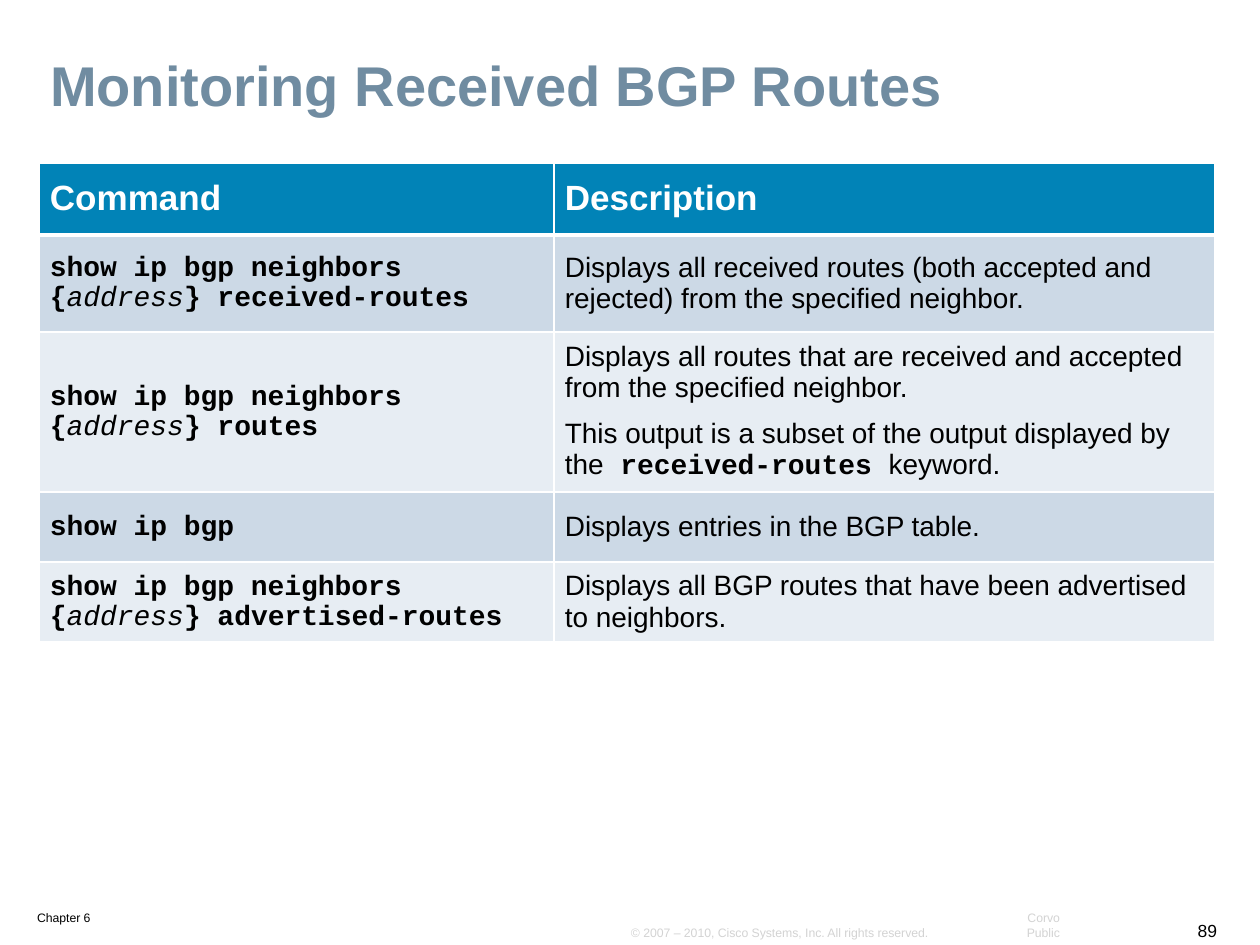
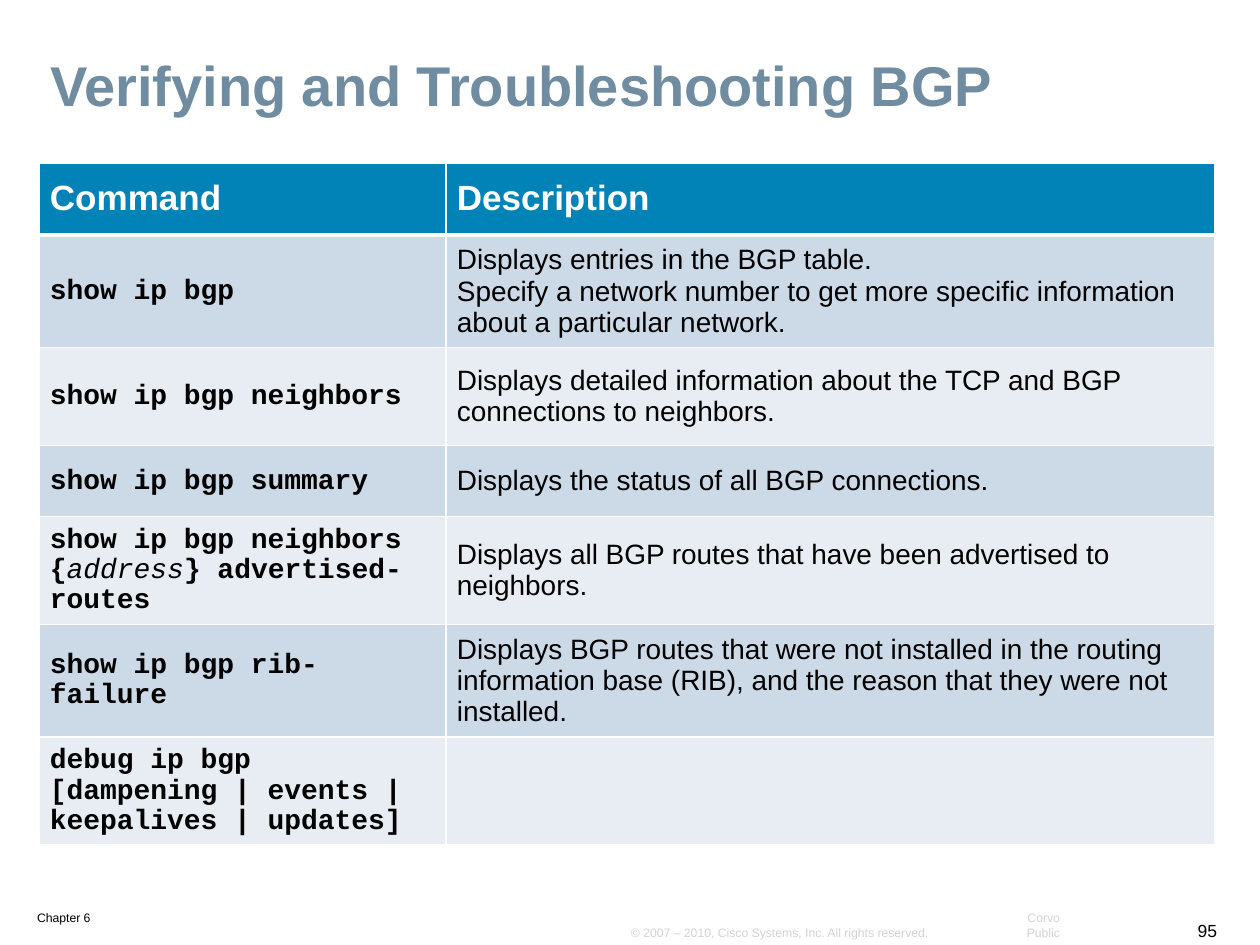
from lxml.etree import SubElement
from pptx import Presentation
from pptx.dml.color import RGBColor
from pptx.enum.text import MSO_ANCHOR, MSO_AUTO_SIZE, PP_ALIGN
from pptx.oxml.ns import qn
from pptx.util import Emu, Pt

COLORS = {"title": "708CA1", "header": "0183B7", "odd": "CCD9E6", "even": "E7EDF3",
          "white": "FFFFFF", "black": "000000", "gray": "D3D3D3"}
SANS, MONO = "Arial", "Courier New"
TITLE = {"size": Pt(32), "name": SANS, "bold": True, "color": "title"}
HEADER = {"size": Pt(20), "name": SANS, "bold": True, "color": "white"}
PLAIN = {"size": Pt(16), "name": SANS, "bold": False, "color": "black"}
COMMAND = {**PLAIN, "name": MONO, "bold": True}
ARGUMENT = {**COMMAND, "bold": False, "italic": True}
INSETS = {"margin_left": 11, "margin_top": 6, "margin_right": 11, "margin_bottom": 6}
TITLE_BOX = (39, 50, 1174, 76)
TABLE_TOP_LEFT = (39, 163)

FOOTERS = [
    ((26, 905, 132, 26), "Chapter 6", 7, "black", PP_ALIGN.LEFT),
    ((620, 920, 324, 26), "© 2007 – 2010, Cisco Systems, Inc. All rights reserved.",
     7, "gray", PP_ALIGN.LEFT),
    ((982, 920, 89, 26), "Corvo Public", 7, "gray", PP_ALIGN.RIGHT),
]
NUMBER_BOX = (1184, 914, 44, 33)

ADVERTISED = ("show ip bgp neighbors {_address_} advertised-routes",
              "Displays all BGP routes that have been advertised to neighbors.")
TABLE_ENTRIES = ("show ip bgp", "Displays entries in the BGP table.")

SLIDES = [
    {"title": "Monitoring Received BGP Routes", "number": "89",
     "cols": (515, 661), "heights": (72, 97, 153, 70, 74), "gap": 8,
     "rows": [
         ("show ip bgp neighbors {_address_} received-routes",
          "Displays all received routes (both accepted and rejected) "
          "from the specified neighbor."),
         ("show ip bgp neighbors {_address_} routes",
          "Displays all routes that are received and accepted from the specified neighbor.\n"
          "This output is a subset of the output displayed by the"
          "_ received-routes _keyword."),
         TABLE_ENTRIES,
         ADVERTISED,
     ]},
    {"title": "Verifying and Troubleshooting BGP", "number": "95",
     "cols": (407, 769), "heights": (72, 104, 98, 71, 101, 104, 100), "gap": 0,
     "rows": [
         (TABLE_ENTRIES[0], TABLE_ENTRIES[1] + "\n"
          "Specify a network number to get more specific information "
          "about a particular network."),
         ("show ip bgp neighbors",
          "Displays detailed information about the TCP and BGP connections to neighbors."),
         ("show ip bgp summary", "Displays the status of all BGP connections."),
         ADVERTISED,
         ("show ip bgp rib-failure",
          "Displays BGP routes that were not installed in the routing information base "
          "(RIB), and the reason that they were not installed."),
         ("debug ip bgp [dampening | events | keepalives | updates]", ""),
     ]},
]


def px(n):
    return Emu(round(n * 914400 / 126))


def rgb(name):
    return RGBColor.from_string(COLORS[name])


def set_insets(target):
    for side, n in INSETS.items():
        setattr(target, side, px(n))


def add_run(p, text, style):
    r = p.add_run()
    r.text = text
    for key, value in style.items():
        if key == "color":
            r.font.color.rgb = rgb(value)
        else:
            setattr(r.font, key, value)


def fill_text(tf, text, style, marked=None, spacing=1.0, gap=0):
    for i, line in enumerate(text.split("\n")):
        p = tf.add_paragraph() if i else tf.paragraphs[0]
        p.line_spacing = spacing
        if i:
            p.space_before = Pt(gap)
        for j, part in enumerate(line.split("_")):
            if part:
                add_run(p, part, marked if j % 2 else style)


def add_title(s, box, text):
    sp = s.shapes.title
    sp.left, sp.top, sp.width, sp.height = map(px, box)
    tf = sp.text_frame
    set_insets(tf)
    tf.word_wrap = True
    tf.auto_size = MSO_AUTO_SIZE.NONE
    tf.vertical_anchor = MSO_ANCHOR.MIDDLE
    fill_text(tf, text, TITLE, spacing=0.9)
    tf.paragraphs[0].alignment = PP_ALIGN.LEFT


def add_footer(s, box, text, size, color, align):
    tf = s.shapes.add_textbox(*map(px, box)).text_frame
    set_insets(tf)
    tf.word_wrap = False
    tf.vertical_anchor = MSO_ANCHOR.BOTTOM
    fill_text(tf, text, {"size": Pt(size), "name": SANS, "color": color})
    tf.paragraphs[0].alignment = align


def add_borders(cell, top, bottom):
    tcPr = cell._tc.get_or_add_tcPr()
    for side, width in (("L", 1), ("R", 1), ("T", top), ("B", bottom)):
        ln = SubElement(tcPr, qn(f"a:ln{side}"), w=str(Pt(width)))
        fill = SubElement(ln, qn("a:solidFill"))
        SubElement(fill, qn("a:srgbClr"), val=COLORS["white"])


def format_cell(cell, row):
    set_insets(cell)
    cell.vertical_anchor = MSO_ANCHOR.MIDDLE
    add_borders(cell, 3 if row == 1 else 1, 3 if row == 0 else 1)
    cell.fill.solid()
    cell.fill.fore_color.rgb = rgb("header" if row == 0 else "odd" if row % 2 else "even")


def add_command_table(s, top_left, cols, heights, rows, gap):
    box = (*top_left, sum(cols), sum(heights))
    table = s.shapes.add_table(len(heights), len(cols), *map(px, box)).table
    for col, width in zip(table.columns, cols):
        col.width = px(width)
    for row, height in zip(table.rows, heights):
        row.height = px(height)
    for i, texts in enumerate([("Command", "Description"), *rows]):
        for j, text in enumerate(texts):
            cell = table.cell(i, j)
            format_cell(cell, i)
            if i == 0:
                fill_text(cell.text_frame, text, HEADER, spacing=0.95)
            elif j == 0:
                fill_text(cell.text_frame, text, COMMAND, ARGUMENT, spacing=0.95)
            else:
                fill_text(cell.text_frame, text, PLAIN, COMMAND, gap=gap)


def add_command_slide(prs, title, number, cols, heights, rows, gap):
    s = prs.slides.add_slide(prs.slide_layouts[5])
    for footer in FOOTERS:
        add_footer(s, *footer)
    add_footer(s, NUMBER_BOX, number, 10, "black", PP_ALIGN.RIGHT)
    add_title(s, TITLE_BOX, title)
    add_command_table(s, TABLE_TOP_LEFT, cols, heights, rows, gap)


def main():
    prs = Presentation()
    prs.slide_width, prs.slide_height = px(1260), px(945)
    for content in SLIDES:
        add_command_slide(prs, **content)
    prs.save("out.pptx")


if __name__ == "__main__":
    main()
